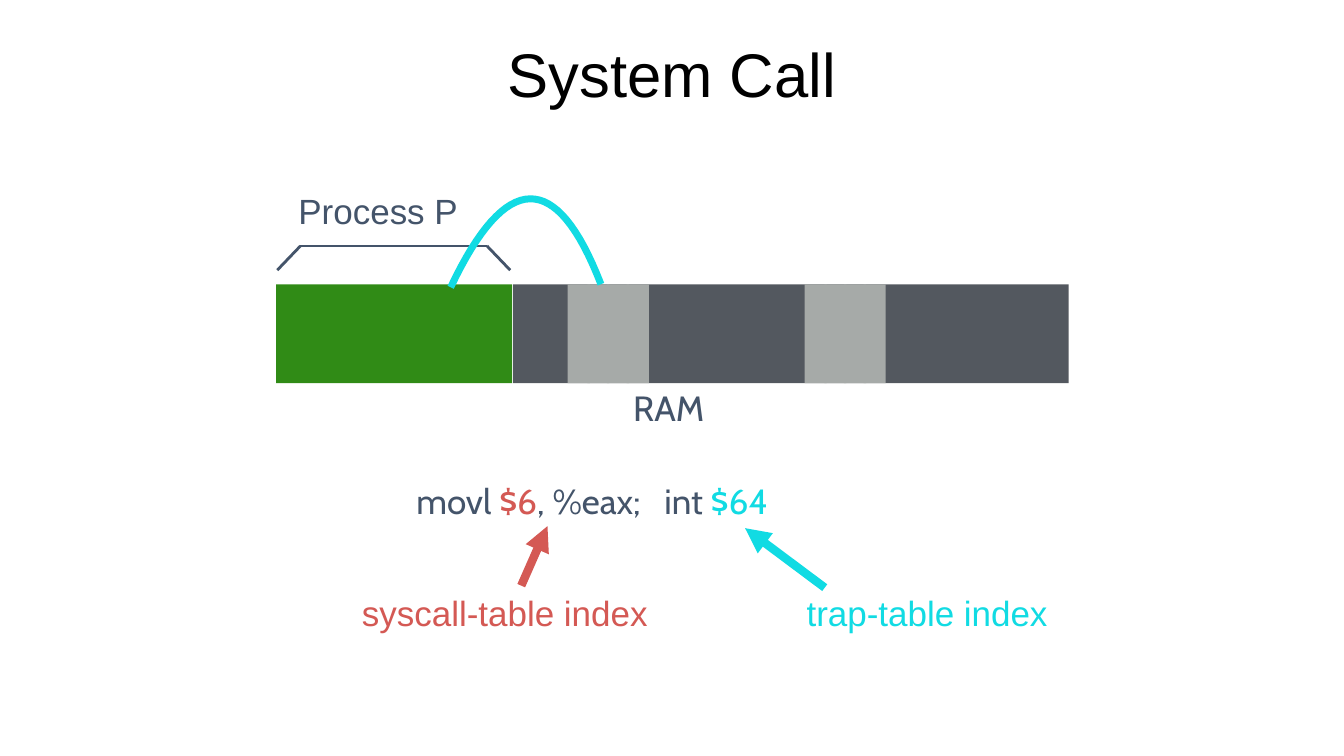
from lxml.etree import SubElement
from pptx import Presentation
from pptx.dml.color import RGBColor
from pptx.enum.shapes import MSO_CONNECTOR as CONN, MSO_SHAPE as SHAPE
from pptx.enum.text import MSO_ANCHOR as ANCHOR, PP_ALIGN as ALIGN
from pptx.oxml.ns import qn
from pptx.util import Inches, Pt

COLORS = {
    "title": "000000", "ink": "44546A", "process": "308B16", "ram": "53585F",
    "stripe": "A6AAA8", "syscall": "D45954", "trap": "11DBE3",
}
RAM_TOP, RAM_HEIGHT = 2.82, 0.98
BRACKET_TOP, BRACKET_FOOT = 2.44, 2.68


def rgb(name):
    return RGBColor.from_string(COLORS[name])


def bezier(points, steps=32):
    """Return evenly sampled points of a cubic Bezier curve."""
    def at(t):
        weights = ((1 - t) ** 3, 3 * t * (1 - t) ** 2, 3 * t * t * (1 - t), t ** 3)
        return tuple(sum(w * p[axis] for w, p in zip(weights, points)) for axis in (0, 1))
    return [at(i / steps) for i in range(steps + 1)]


class Deck:
    """Holds the text style and the current slide."""

    def __init__(self, s, font="Arial", size=25):
        self.s, self.font, self.size = s, font, size

    def block(self, left, width, color):
        """Draw one stretch of the memory bar."""
        sp = self.s.shapes.add_shape(
            SHAPE.RECTANGLE, Inches(left), Inches(RAM_TOP), Inches(width), Inches(RAM_HEIGHT))
        sp.shadow.inherit = False
        sp.fill.solid()
        sp.fill.fore_color.rgb = rgb(color)
        sp.line.fill.background()

    def line(self, start, end, color, width, arrow=False):
        c = self.s.shapes.add_connector(CONN.STRAIGHT, *map(Inches, start + end))
        c.line.color.rgb = rgb(color)
        c.line.width = Pt(width)
        if arrow:
            SubElement(c.line._get_or_add_ln(), qn("a:tailEnd"), type="triangle")
        SubElement(c._element.spPr, qn("a:effectLst"))

    def curve(self, points, color, width):
        samples = [tuple(map(Inches, point)) for point in bezier(points)]
        builder = self.s.shapes.build_freeform(*samples[0])
        builder.add_line_segments(samples[1:], close=False)
        sp = builder.convert_to_shape()
        sp.shadow.inherit = False
        sp.fill.background()
        sp.line.color.rgb = rgb(color)
        sp.line.width = Pt(width)

    def text(self, box, runs, font=None, size=None, margin=0.04, tab=None, **paragraph):
        tf = self.s.shapes.add_textbox(*map(Inches, box)).text_frame
        frame = {"word_wrap": True, "vertical_anchor": ANCHOR.MIDDLE}
        frame.update({f"margin_{side}": Inches(margin)
                      for side in ("left", "top", "right", "bottom")})
        for key, value in frame.items():
            setattr(tf, key, value)
        p = tf.paragraphs[0]
        for key, value in paragraph.items():
            setattr(p, key, value)
        if tab:
            tabs = SubElement(p._p.get_or_add_pPr(), qn("a:tabLst"))
            SubElement(tabs, qn("a:tab"), pos=str(Inches(tab)), algn="l")
        for words, color in runs:
            r = p.add_run()
            r.text = words
            style = {"name": font or self.font, "size": Pt(size or self.size)}
            for key, value in style.items():
                setattr(r.font, key, value)
            r.font.color.rgb = rgb(color)


def main():
    prs = Presentation()
    prs.slide_width, prs.slide_height = Inches(13.33), Inches(7.5)
    deck = Deck(prs.slides.add_slide(prs.slide_layouts[6]))

    deck.text((2.52, 0.07, 8.29, 1.4), [("System Call", "title")], size=44,
              margin=0.05, alignment=ALIGN.CENTER, line_spacing=0.9)

    deck.block(2.74, 2.34, "process")
    deck.block(5.09, 5.51, "ram")
    for group_left in (5.63, 7.98):
        for i in range(4):
            deck.block(group_left + i * 0.195, 0.22, "stripe")
    deck.text((6.24, 3.79, 0.81, 0.5), [("RAM", "ink")], font="Cabin")

    corners = [(2.75, BRACKET_FOOT), (2.98, BRACKET_TOP),
               (4.83, BRACKET_TOP), (5.06, BRACKET_FOOT)]
    for start, end in zip(corners, corners[1:]):
        deck.line(start, end, "ink", 2)
    deck.text((2.92, 1.84, 1.77, 0.5), [("Process P", "ink")])
    deck.curve([(4.47, 2.85), (5.02, 1.69), (5.52, 1.68), (5.96, 2.82)], "trap", 5)

    code = [("movl ", "ink"), ("$6", "syscall"), (", %eax;\tint ", "ink"), ("$64", "trap")]
    deck.text((4.09, 4.72, 5.13, 0.5), code, font="Cabin", tab=2.46)
    deck.line((5.17, 5.81), (5.43, 5.22), "syscall", 6, arrow=True)
    deck.line((8.18, 5.83), (7.39, 5.24), "trap", 6, arrow=True)
    deck.text((3.55, 5.83, 3.02, 0.5), [("syscall-table index", "syscall")])
    deck.text((7.96, 5.83, 2.66, 0.5), [("trap-table index", "trap")])

    prs.save("out.pptx")


if __name__ == "__main__":
    main()
